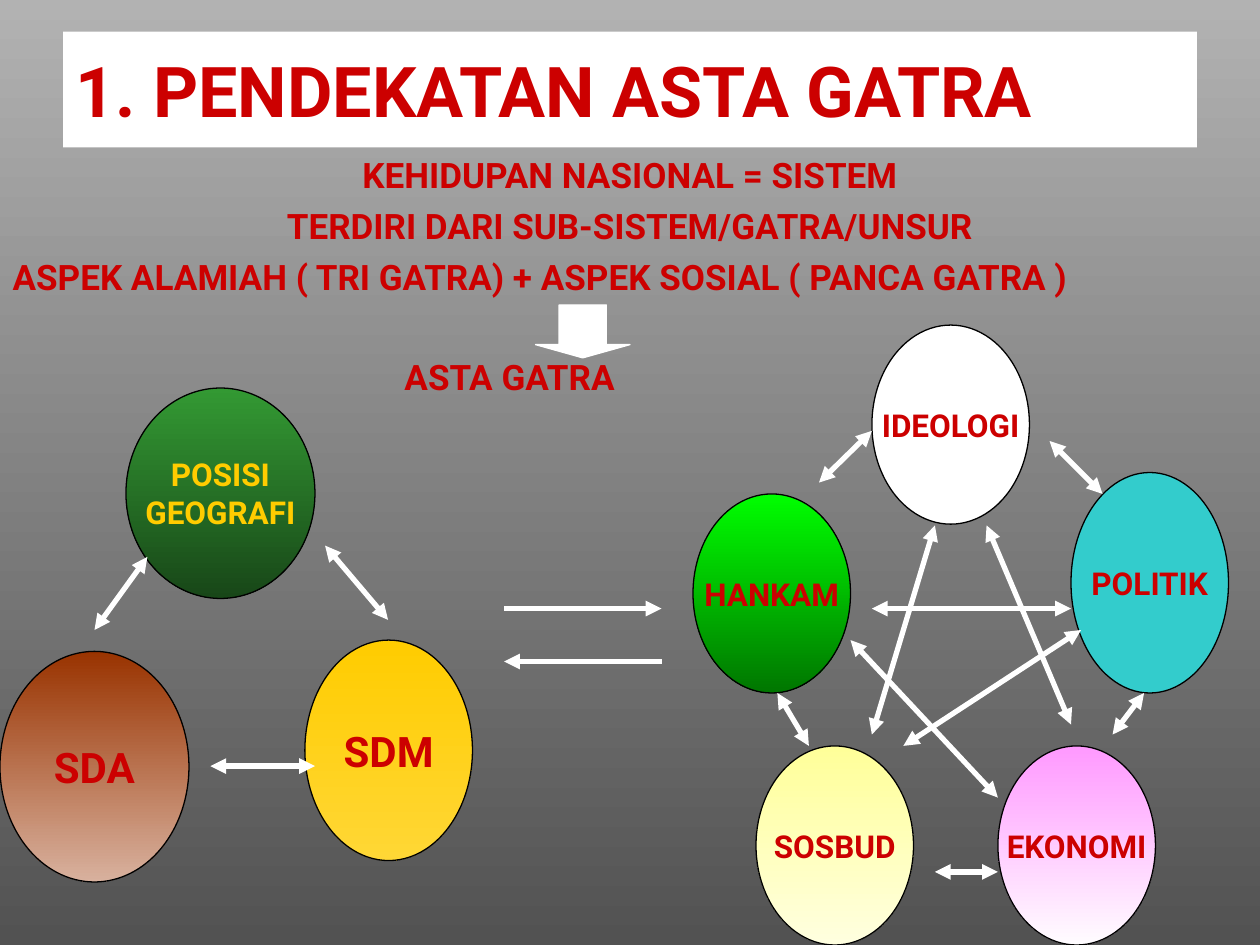
from lxml.etree import SubElement
from pptx import Presentation
from pptx.dml.color import RGBColor
from pptx.enum.shapes import MSO_CONNECTOR, MSO_SHAPE
from pptx.enum.text import MSO_ANCHOR, MSO_AUTO_SIZE, PP_ALIGN
from pptx.oxml.ns import qn
from pptx.util import Inches, Pt

WHITE = RGBColor(0xFF, 0xFF, 0xFF)
BLACK = RGBColor(0x00, 0x00, 0x00)
RED = RGBColor(0xCC, 0x00, 0x00)
GOLD = RGBColor(0xFF, 0xCC, 0x00)
LIGHT_GOLD = RGBColor(0xFF, 0xD7, 0x35)
LIGHT_GREY = RGBColor(0xB2, 0xB2, 0xB2)
DARK_GREY = RGBColor(0x52, 0x52, 0x52)
BROWN = RGBColor(0x99, 0x33, 0x00)
TAN = RGBColor(0xD8, 0xB1, 0x9E)
GREEN = RGBColor(0x33, 0x99, 0x33)
DARK_GREEN = RGBColor(0x18, 0x47, 0x18)
PINK = RGBColor(0xFF, 0x99, 0xFF)
PALE_PINK = RGBColor(0xFF, 0xFC, 0xFF)
YELLOW = RGBColor(0xFF, 0xFF, 0x99)
PALE_YELLOW = RGBColor(0xFF, 0xFF, 0xDF)
LIME = RGBColor(0x00, 0xFF, 0x00)
DARK_LIME = RGBColor(0x00, 0x76, 0x00)
TEAL = RGBColor(0x33, 0xCC, 0xCC)

BODY_LINES = [
    ("KEHIDUPAN NASIONAL = SISTEM", PP_ALIGN.CENTER, 0, 5),
    ("TERDIRI DARI SUB-SISTEM/GATRA/UNSUR", PP_ALIGN.CENTER, 0, 5),
    ("ASPEK ALAMIAH ( TRI GATRA) + ASPEK SOSIAL ( PANCA GATRA )", PP_ALIGN.LEFT, 0, 5),
    ("ASTA GATRA", PP_ALIGN.LEFT, 3.11, 33.5),
]

GATRA = [
    ("SDA", (0, 5.17, 1.5, 1.83), (BROWN, TAN), 24, RED),
    ("SDM", (2.42, 5.08, 1.33, 1.75), (GOLD, LIGHT_GOLD), 24, RED),
    ("POSISI\nGEOGRAFI", (1, 3.08, 1.5, 1.67), (GREEN, DARK_GREEN), 18, GOLD),
    ("EKONOMI", (7.92, 5.92, 1.25, 1.58), (PINK, PALE_PINK), 18, RED),
    ("SOSBUD", (6, 5.92, 1.25, 1.58), (YELLOW, PALE_YELLOW), 18, RED),
    ("HANKAM", (5.5, 3.92, 1.25, 1.58), (LIME, DARK_LIME), 18, RED),
    ("POLITIK", (8.5, 3.75, 1.25, 1.75), (TEAL,), 18, RED),
    ("IDEOLOGI", (6.92, 2.58, 1.25, 1.58), (WHITE,), 18, RED),
]

ONE_WAY = [
    (4, 4.83, 5.25, 4.83),
    (5.25, 5.25, 4, 5.25),
]

TWO_WAY = [
    (1.67, 6.08, 2.5, 6.08),
    (2.58, 4.33, 3.08, 4.92),
    (1.17, 4.42, 0.75, 5),
    (7.42, 6.92, 7.92, 6.92),
    (8.33, 3.5, 8.75, 3.92),
    (6.5, 3.83, 6.92, 3.42),
    (6.17, 5.5, 6.42, 5.92),
    (9.08, 5.5, 8.83, 5.83),
    (8.58, 5, 7.17, 5.92),
    (7.42, 4.17, 6.92, 5.83),
    (6.92, 4.83, 8.5, 4.83),
    (6.75, 5.08, 7.92, 6.33),
    (7.83, 4.17, 8.5, 5.75),
]


class SlideBuilder:
    font_name = "Roboto"
    outline_width = Pt(0.75)
    arrow_width = Pt(3)

    def __init__(self, slide):
        self.slide = slide

    def paint(self, fill, colors):
        if len(colors) == 1:
            fill.solid()
            fill.fore_color.rgb = colors[0]
            return
        fill.gradient()
        fill.gradient_angle = 270
        for stop, color in zip(fill.gradient_stops, colors):
            stop.color.rgb = color

    def format_runs(self, paragraph, size, color):
        for run in paragraph.runs:
            run.font.name = self.font_name
            run.font.size = Pt(size)
            run.font.bold = True
            run.font.color.rgb = color

    def place(self, shape, box):
        shape.left, shape.top, shape.width, shape.height = map(Inches, box)

    def background(self, *colors):
        self.paint(self.slide.background.fill, colors)

    def title(self, text, box):
        title = self.slide.shapes.title
        self.place(title, box)
        self.paint(title.fill, (WHITE,))
        frame = title.text_frame
        frame.text = text
        frame.auto_size = MSO_AUTO_SIZE.NONE
        frame.vertical_anchor = MSO_ANCHOR.MIDDLE
        frame.paragraphs[0].alignment = PP_ALIGN.LEFT
        self.format_runs(frame.paragraphs[0], 40, RED)

    def body(self, lines, box):
        body = self.slide.placeholders[1]
        self.place(body, box)
        frame = body.text_frame
        frame.text = "\n".join(line[0] for line in lines)
        frame.auto_size = MSO_AUTO_SIZE.NONE
        for paragraph, (_, alignment, margin, space) in zip(frame.paragraphs, lines):
            paragraph.alignment = alignment
            paragraph.space_before = Pt(space)
            properties = paragraph._p.get_or_add_pPr()
            properties.set("marL", str(Inches(margin)))
            properties.set("indent", "0")
            SubElement(properties, qn("a:buNone"))
            self.format_runs(paragraph, 20, RED)

    def shape(self, kind, box, colors, outline):
        shape = self.slide.shapes.add_shape(kind, *map(Inches, box))
        shape.shadow.inherit = False
        self.paint(shape.fill, colors)
        shape.line.color.rgb = outline
        shape.line.width = self.outline_width
        return shape

    def ellipse(self, text, box, colors, size, text_color):
        frame = self.shape(MSO_SHAPE.OVAL, box, colors, BLACK).text_frame
        frame.text = text
        frame.word_wrap = False
        frame.vertical_anchor = MSO_ANCHOR.MIDDLE
        for paragraph in frame.paragraphs:
            paragraph.alignment = PP_ALIGN.CENTER
            self.format_runs(paragraph, size, text_color)

    def arrow(self, points, ends):
        connector = self.slide.shapes.add_connector(
            MSO_CONNECTOR.STRAIGHT, *map(Inches, points)
        )
        connector.line.color.rgb = WHITE
        connector.line.width = self.arrow_width
        line = connector.line._get_or_add_ln()
        for end in ends:
            SubElement(line, qn(end), type="triangle")
        SubElement(connector._element.spPr, qn("a:effectLst"))

    def down_arrow(self, box):
        shape = self.shape(MSO_SHAPE.DOWN_ARROW, box, (WHITE,), WHITE)
        shape.adjustments[0] = 0.5
        shape.adjustments[1] = 0.25


def main():
    presentation = Presentation()
    presentation.slide_width = Inches(10)
    presentation.slide_height = Inches(7.5)
    slide = presentation.slides.add_slide(presentation.slide_layouts[1])
    builder = SlideBuilder(slide)
    builder.background(LIGHT_GREY, DARK_GREY)
    builder.title("1. PENDEKATAN ASTA GATRA", (0.5, 0.25, 9, 0.92))
    builder.body(BODY_LINES, (0, 1.17, 10, 6.33))
    for gatra in GATRA:
        builder.ellipse(*gatra)
    for points in ONE_WAY:
        builder.arrow(points, ["a:tailEnd"])
    for points in TWO_WAY:
        builder.arrow(points, ["a:headEnd", "a:tailEnd"])
    builder.down_arrow((4.25, 2.42, 0.75, 0.42))
    presentation.save("out.pptx")


if __name__ == "__main__":
    main()
